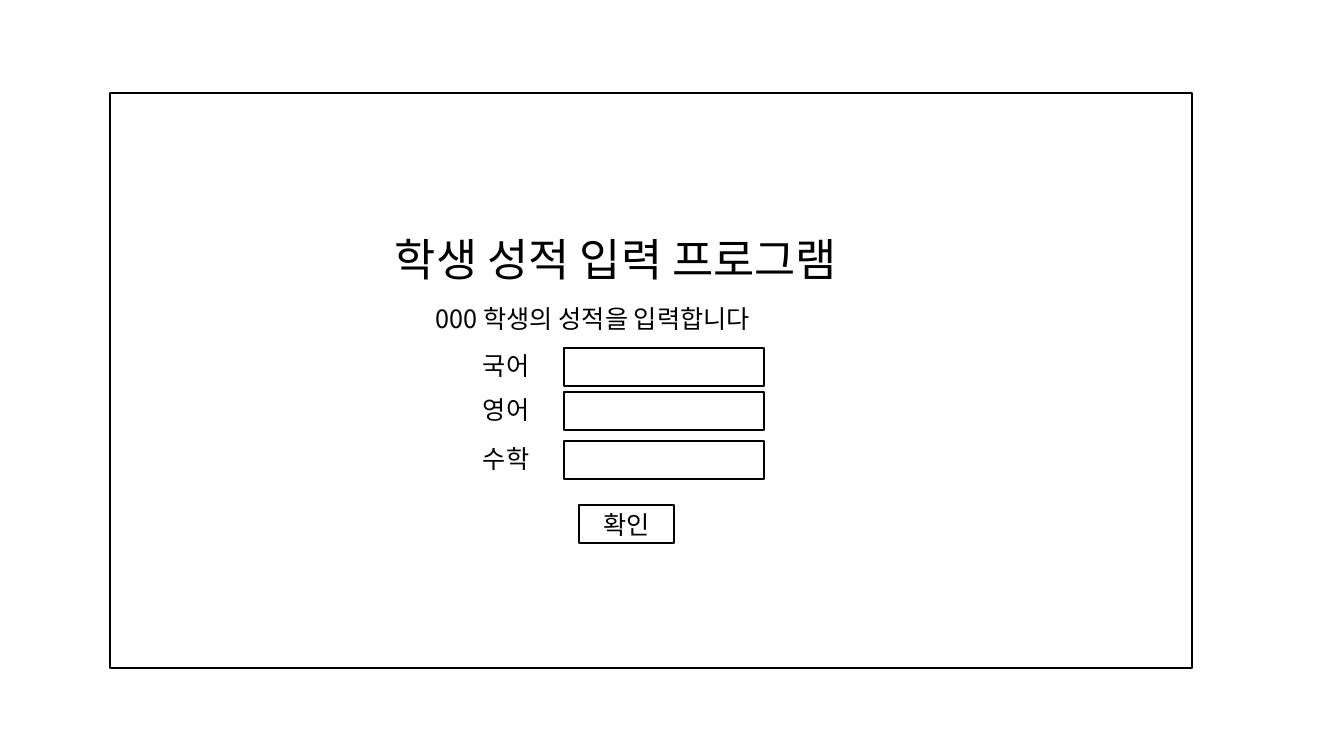
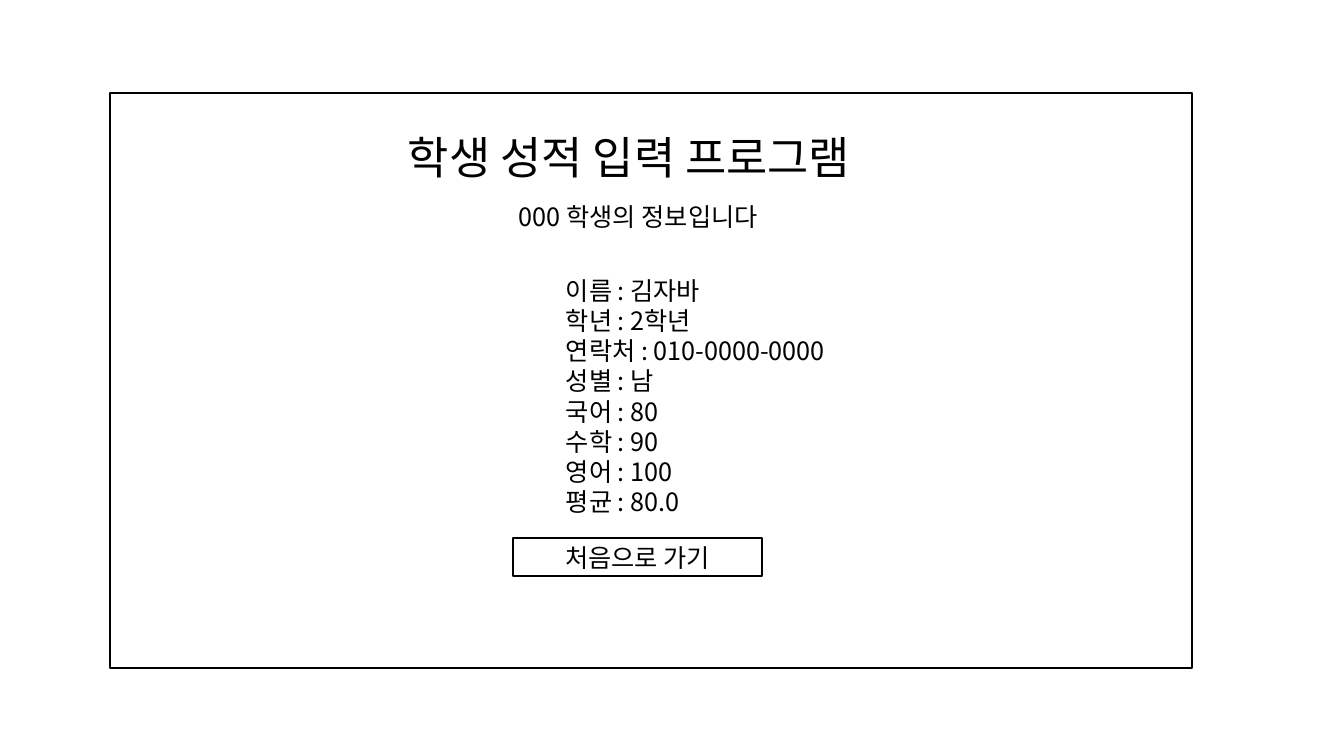
from pptx import Presentation
from pptx.dml.color import RGBColor
from pptx.enum.shapes import MSO_SHAPE as Shape
from pptx.enum.text import MSO_ANCHOR as Anchor, MSO_AUTO_SIZE as AutoSize, PP_ALIGN as Align
from pptx.oxml.ns import qn
from pptx.util import Emu, Pt

PAGE_WIDTH, PAGE_HEIGHT = 1344, 756
EMU_PER_PX = 12192000 / PAGE_WIDTH


def px(length):
    return Emu(round(length * EMU_PER_PX))


def color(hex_code):
    return RGBColor.from_string(hex_code)


def write(frame, text, size=18, font="Noto Sans CJK KR", ink="000000",
          align=Align.LEFT, anchor=Anchor.TOP):
    """Fill a text frame, one paragraph for each line of text."""
    frame.word_wrap = True
    frame.vertical_anchor = anchor
    frame.text = text
    for para in frame.paragraphs:
        para.alignment = align
        para.line_spacing = Pt(size * 1.2)
        for span in para.runs:
            span.font.size = Pt(size)
            span.font.name = font
            span.font.color.rgb = color(ink)
            # Hangul takes its typeface from the East Asian font
            east_asian = span.font._element.makeelement(qn("a:ea"), {"typeface": font})
            span.font._element.find(qn("a:latin")).addnext(east_asian)


class Screens:
    """The wireframe style and the page being drawn."""
    INK = "000000"
    FRAME = (110, 93, 1082, 575)
    TITLE = "학생 성적 입력 프로그램"
    FIELD_HEIGHT = 38
    LABEL_HEIGHT = 40

    def __init__(self):
        self.deck = Presentation()
        self.deck.slide_width = px(PAGE_WIDTH)
        self.deck.slide_height = px(PAGE_HEIGHT)
        self.page = None

    def new_page(self):
        self.page = self.deck.slides.add_slide(self.deck.slide_layouts[6])
        self.outline(*self.FRAME)

    def outline(self, left, top, width, height):
        box = self.page.shapes.add_shape(
            Shape.RECTANGLE, px(left), px(top), px(width), px(height))
        box.shadow.inherit = False
        box.fill.background()
        box.line.color.rgb = color(self.INK)
        box.line.width = Pt(1)
        return box

    def text(self, left, top, width, height, text, **style):
        box = self.page.shapes.add_textbox(px(left), px(top), px(width), px(height))
        write(box.text_frame, text, ink=self.INK, **style)
        box.text_frame.auto_size = AutoSize.SHAPE_TO_FIT_TEXT

    def heading(self, left, top, subtitle_left, subtitle):
        self.text(subtitle_left, top + 71, 476, self.LABEL_HEIGHT, subtitle)
        self.text(left, top, 531, 65, self.TITLE, size=32)

    def button(self, left, top, width, text):
        box = self.outline(left, top, width, self.FIELD_HEIGHT)
        write(box.text_frame, text, ink=self.INK, align=Align.CENTER, anchor=Anchor.MIDDLE)

    def field(self, top, label):
        self.outline(564, top, 200, self.FIELD_HEIGHT)
        self.text(473, top - 3, 120, self.LABEL_HEIGHT, label)


def main():
    screens = Screens()

    # Score entry form
    screens.new_page()
    screens.heading(385, 227, 426, "000 학생의 성적을 입력합니다")
    screens.button(579, 505, 95, "확인")
    for top, subject in ((348, "국어"), (392, "영어"), (441, "수학")):
        screens.field(top, subject)

    # Student details
    screens.new_page()
    screens.heading(398, 125, 509, "000 학생의 정보입니다")
    screens.button(513, 538, 249, "처음으로 가기")
    details = {
        "이름": "김자바", "학년": "2학년", "연락처": "010-0000-0000", "성별": "남",
        "국어": "80", "수학": "90", "영어": "100", "평균": "80.0",
    }
    lines = [f"{name} : {value}" for name, value in details.items()]
    screens.text(556, 270, 411, 254, "\n".join(lines))

    screens.deck.save("out.pptx")


if __name__ == "__main__":
    main()
